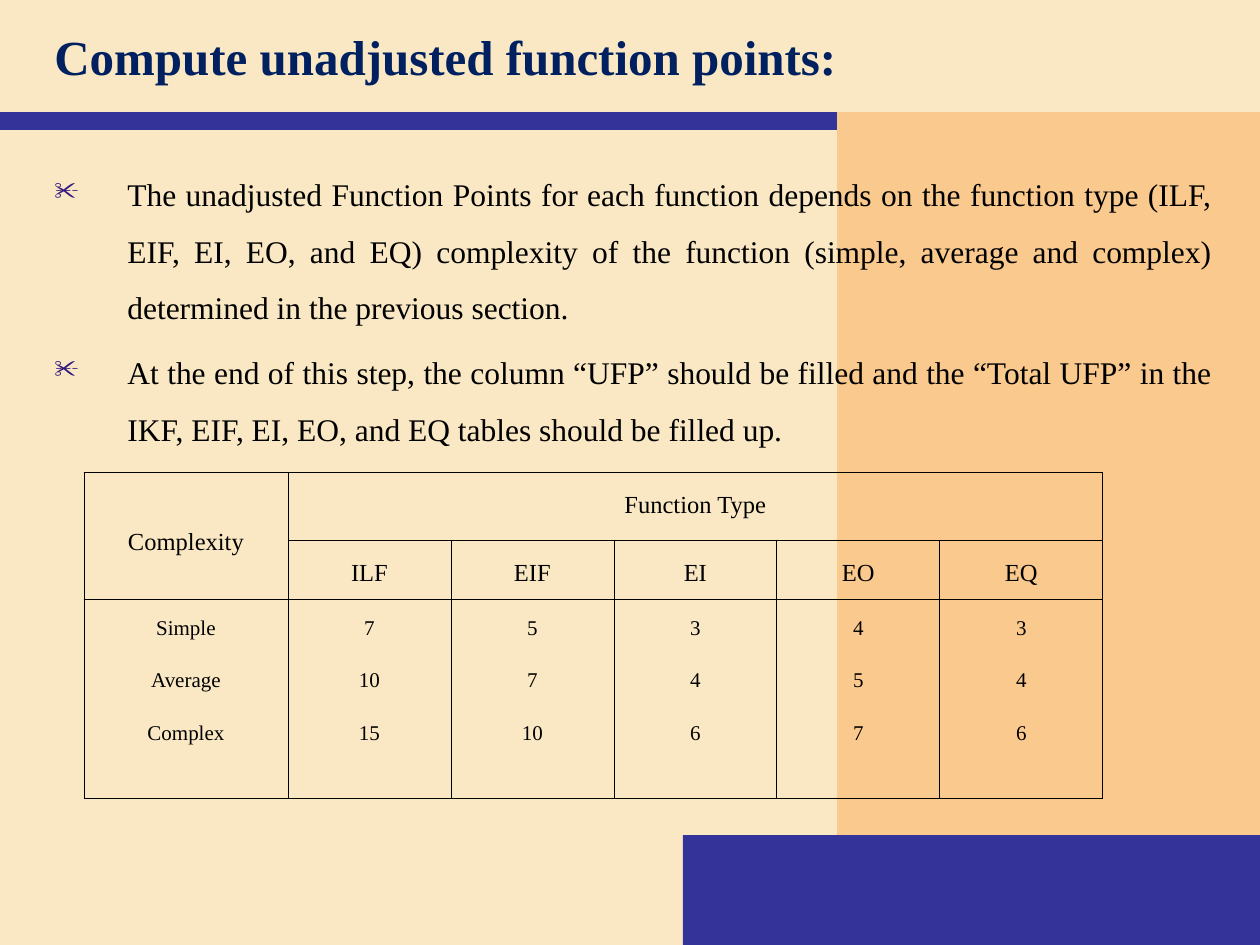
from lxml.etree import SubElement
from pptx import Presentation
from pptx.dml.color import RGBColor
from pptx.enum.shapes import MSO_CONNECTOR, MSO_SHAPE
from pptx.enum.text import MSO_ANCHOR, PP_ALIGN
from pptx.oxml.ns import qn
from pptx.util import Pt

EMU_PER_PX = 914400 / 126
FONT = "Times New Roman"
COLORS = {
    "background": "FAE8C4",
    "panel": "FAC98E",
    "band": "333399",
    "title": "002060",
    "bullet": "33197F",
    "text": "000000",
}

TITLE = "Compute unadjusted function points:"
POINTS = [
    "The unadjusted Function Points for each function depends on the function type "
    "(ILF, EIF, EI, EO, and EQ) complexity of the function (simple, average and complex) "
    "determined in the previous section.",
    "At the end of this step, the column “UFP” should be filled and the “Total UFP” "
    "in the IKF, EIF, EI, EO, and EQ tables should be filled up.",
]
LEVELS = ["Simple", "Average", "Complex"]
WEIGHTS = {
    "ILF": [7, 10, 15],
    "EIF": [5, 7, 10],
    "EI": [3, 4, 6],
    "EO": [4, 5, 7],
    "EQ": [3, 4, 6],
}


def px(length):
    return round(length * EMU_PER_PX)


def rgb(name):
    return RGBColor.from_string(COLORS[name])


def set_font(paragraph, size, color="text", bold=False):
    font = paragraph.font
    font.name, font.size, font.bold = FONT, Pt(size), bold
    font.color.rgb = rgb(color)


def add_text_box(slide, box):
    text_box = slide.shapes.add_textbox(*map(px, box))
    text_box.text_frame.word_wrap = True
    return text_box.text_frame


def add_rectangle(slide, box, color):
    shape = slide.shapes.add_shape(MSO_SHAPE.RECTANGLE, *map(px, box))
    shape.shadow.inherit = False
    shape.fill.solid()
    shape.fill.fore_color.rgb = rgb(color)
    shape.line.fill.background()


def add_backdrop(slide, width, height):
    slide.background.fill.solid()
    slide.background.fill.fore_color.rgb = rgb("background")
    panel_left, panel_top, footer_left, footer_top = 837, 112, 683, 835
    add_rectangle(slide, (footer_left, footer_top, width - footer_left, height - footer_top), "band")
    add_rectangle(slide, (panel_left, panel_top, width - panel_left, footer_top - panel_top), "panel")

    # Rule below the title
    rule = slide.shapes.add_connector(
        MSO_CONNECTOR.STRAIGHT, 0, px(121), px(panel_left), px(121))
    rule.line.color.rgb = rgb("band")
    rule.line.width = Pt(10)
    SubElement(rule._element.spPr, qn("a:effectLst"))


def add_title(slide, box):
    frame = add_text_box(slide, box)
    frame.vertical_anchor = MSO_ANCHOR.MIDDLE
    paragraph = frame.paragraphs[0]
    paragraph.text = TITLE
    set_font(paragraph, 28, "title", bold=True)


def add_bullet(paragraph, indent):
    properties = paragraph._p.get_or_add_pPr()
    properties.set("marL", str(px(indent)))
    properties.set("indent", str(-px(indent)))
    color = SubElement(properties, qn("a:buClr"))
    SubElement(color, qn("a:srgbClr"), val=COLORS["bullet"])
    SubElement(properties, qn("a:buSzPct"), val="80000")
    SubElement(properties, qn("a:buChar"), char="✂")


def add_points(slide, box):
    frame = add_text_box(slide, box)
    for index, point in enumerate(POINTS):
        paragraph = frame.add_paragraph() if index else frame.paragraphs[0]
        paragraph.text = point
        paragraph.alignment = PP_ALIGN.JUSTIFY
        paragraph.line_spacing = 1.5
        if index:
            paragraph.space_before = Pt(4.5)
        add_bullet(paragraph, 73)
        set_font(paragraph, 18)


def add_borders(cell):
    properties = cell._tc.get_or_add_tcPr()
    for position, side in enumerate(("lnL", "lnR", "lnT", "lnB")):
        border = properties.makeelement(qn(f"a:{side}"), {"w": str(Pt(0.45))})
        fill = SubElement(border, qn("a:solidFill"))
        SubElement(fill, qn("a:srgbClr"), val=COLORS["text"])
        properties.insert(position, border)


def fill_cell(cell, lines, size):
    frame = cell.text_frame
    for index, line in enumerate(lines):
        paragraph = frame.add_paragraph() if index else frame.paragraphs[0]
        paragraph.text = str(line)
        paragraph.alignment = PP_ALIGN.CENTER
        paragraph.line_spacing = 1.5
        paragraph.space_after = Pt(10)
        set_font(paragraph, size)


def add_weights_table(slide, box):
    left, top, width, height = box
    row_heights = [68, 59, height - 68 - 59]
    label_width = 204
    type_width = (width - label_width) / len(WEIGHTS)
    table = slide.shapes.add_table(
        len(row_heights), 1 + len(WEIGHTS), *map(px, box)).table
    table.first_row = table.horz_banding = False
    for row, row_height in zip(table.rows, row_heights):
        row.height = px(row_height)
    for index, column in enumerate(table.columns):
        column.width = px(type_width if index else label_width)
    for cell in table.iter_cells():
        cell.fill.background()
        cell.margin_left = cell.margin_right = px(10)
        cell.margin_top = cell.margin_bottom = px(6)
        add_borders(cell)

    # Headings
    table.cell(0, 0).merge(table.cell(1, 0))
    table.cell(0, 1).merge(table.cell(0, len(WEIGHTS)))
    table.cell(0, 0).vertical_anchor = MSO_ANCHOR.MIDDLE
    fill_cell(table.cell(0, 0), ["Complexity"], 14)
    fill_cell(table.cell(0, 1), ["Function Type"], 14)

    # Levels and their weights
    fill_cell(table.cell(2, 0), LEVELS, 12)
    for column, (name, weights) in enumerate(WEIGHTS.items(), start=1):
        fill_cell(table.cell(1, column), [name], 14)
        fill_cell(table.cell(2, column), weights, 12)


def main():
    width, height = 1260, 945
    presentation = Presentation()
    presentation.slide_width, presentation.slide_height = px(width), px(height)
    slide = presentation.slides.add_slide(presentation.slide_layouts[6])
    add_backdrop(slide, width, height)
    add_title(slide, (42, 0, 1183, 111))
    add_points(slide, (42, 150, 1183, 364))
    add_weights_table(slide, (84, 472, 1019, 326))
    presentation.save("out.pptx")


if __name__ == "__main__":
    main()
